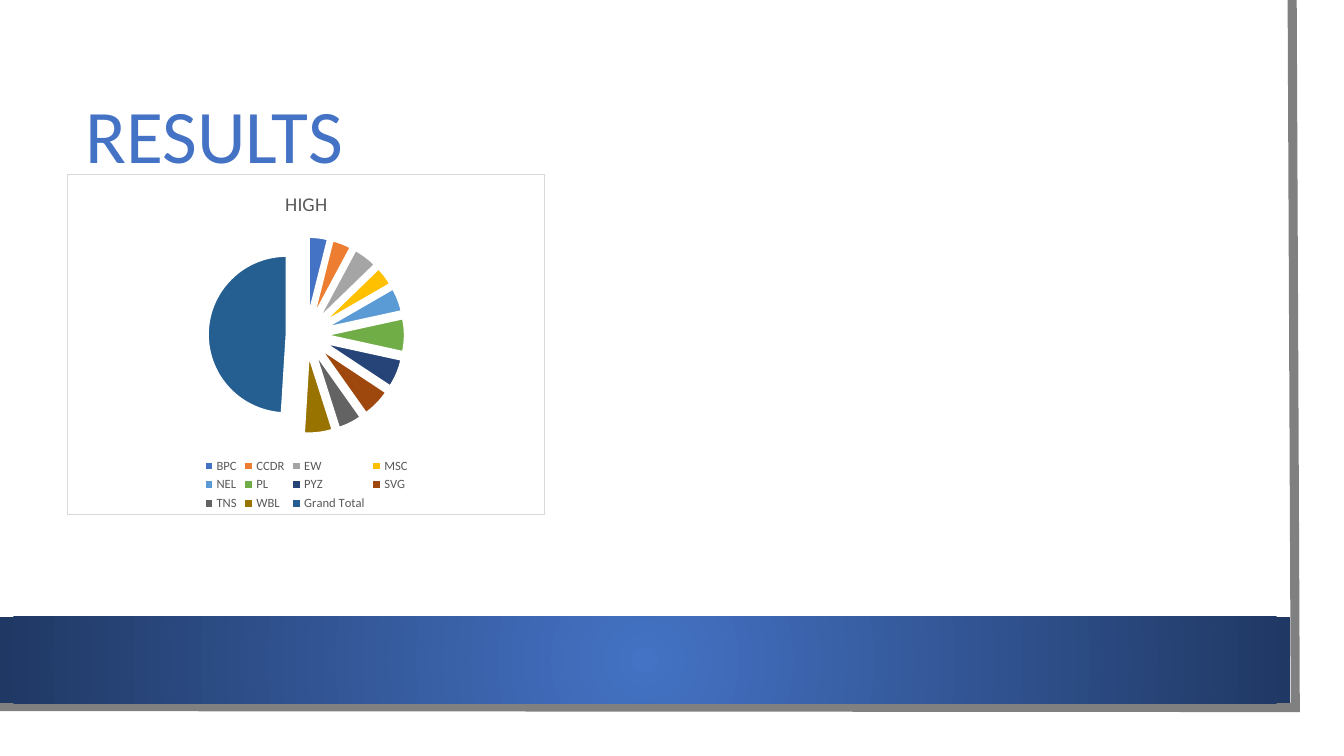
from pptx import Presentation
from pptx.chart.data import CategoryChartData
from pptx.dml.color import RGBColor
from pptx.enum.chart import XL_CHART_TYPE, XL_LEGEND_POSITION as LegendPosition
from pptx.enum.shapes import MSO_SHAPE as Shape
from pptx.enum.text import MSO_ANCHOR as Anchor
from pptx.oxml import parse_xml
from pptx.oxml.ns import nsdecls, qn
from pptx.util import Pt

FONT = "Calibri"
BLUE = RGBColor(0x44, 0x72, 0xC4)
NAVY = RGBColor(0x20, 0x38, 0x64)
EDGE_GRAY = RGBColor(0x80, 0x80, 0x80)
TEXT_GRAY = RGBColor(0x59, 0x59, 0x59)
BORDER_GRAY = RGBColor(0xD9, 0xD9, 0xD9)
WHITE = RGBColor(0xFF, 0xFF, 0xFF)

# Category, value, slice colour
SLICES = [
    ("BPC", 4, BLUE),
    ("CCDR", 4, RGBColor(0xED, 0x7D, 0x31)),
    ("EW", 5, RGBColor(0xA5, 0xA5, 0xA5)),
    ("MSC", 4, RGBColor(0xFF, 0xC0, 0x00)),
    ("NEL", 5, RGBColor(0x5B, 0x9B, 0xD5)),
    ("PL", 7, RGBColor(0x70, 0xAD, 0x47)),
    ("PYZ", 6, RGBColor(0x26, 0x44, 0x78)),
    ("SVG", 6, RGBColor(0x9E, 0x48, 0x0E)),
    ("TNS", 5, RGBColor(0x63, 0x63, 0x63)),
    ("WBL", 6, RGBColor(0x99, 0x73, 0x00)),
    ("Grand Total", 50, RGBColor(0x25, 0x5E, 0x91)),
]


def style_font(font, size, color):
    font.name = FONT
    font.size = Pt(size)
    font.bold = False
    font.color.rgb = color


def add_page_edge(slide, left, top, width, height):
    """Slightly tilted gray edge along the right and bottom of the page."""
    builder = slide.shapes.build_freeform(
        Pt(left + width - 2.2), Pt(top), scale=1.0)
    builder.add_line_segments(
        [(Pt(left + width), Pt(top + height)),
         (Pt(left), Pt(top + height - 0.7))], close=False)
    edge = builder.convert_to_shape()
    edge.shadow.inherit = False
    edge.fill.background()
    edge.line.color.rgb = EDGE_GRAY
    edge.line.width = Pt(6.5)
    outline = edge.element.spPr.find(qn("a:ln"))
    outline.append(parse_xml(f'<a:miter {nsdecls("a")} lim="800000"/>'))


def add_footer_band(slide, left, top, width, height):
    band = slide.shapes.add_shape(
        Shape.RECTANGLE, Pt(left), Pt(top), Pt(width), Pt(height))
    band.shadow.inherit = False
    band.line.fill.background()
    band.fill.gradient()
    for stop, color in zip(band.fill.gradient_stops, (BLUE, NAVY)):
        stop.color.rgb = color
    # Radial gradient from the centre outwards
    gradient = band.element.spPr.find(qn("a:gradFill"))
    gradient.remove(gradient.find(qn("a:lin")))
    gradient.append(parse_xml(
        f'<a:path {nsdecls("a")} path="circle">'
        '<a:fillToRect l="50000" t="50000" r="50000" b="50000"/></a:path>'))


def add_heading(slide, left, top, width, height):
    heading = slide.shapes.add_textbox(
        Pt(left), Pt(top), Pt(width), Pt(height))
    frame = heading.text_frame
    frame.word_wrap = True
    frame.vertical_anchor = Anchor.MIDDLE
    frame.text = "RESULTS"
    frame.paragraphs[0].line_spacing = 0.9
    style_font(frame.paragraphs[0].runs[0].font, 54, BLUE)


def add_high_pie(slide, left, top, width, height):
    data = CategoryChartData()
    data.categories = [name for name, _, _ in SLICES]
    data.add_series("HIGH", [value for _, value, _ in SLICES])
    pie = slide.shapes.add_chart(
        XL_CHART_TYPE.PIE, Pt(left), Pt(top), Pt(width), Pt(height), data).chart
    style_font(pie.font, 10, TEXT_GRAY)

    # Title and legend
    pie.has_title = True
    title = pie.chart_title
    title.include_in_layout = False
    title.text_frame.text = "HIGH"
    style_font(title.text_frame.paragraphs[0].runs[0].font, 14, TEXT_GRAY)
    pie.has_legend = True
    pie.legend.position = LegendPosition.BOTTOM
    pie.legend.include_in_layout = False
    style_font(pie.legend.font, 9, TEXT_GRAY)

    # Slices, pulled apart
    plot = pie.plots[0]
    plot.vary_by_categories = True
    for index, (_, _, color) in enumerate(SLICES):
        slice_format = plot.series[0].points[index].format
        slice_format.fill.solid()
        slice_format.fill.fore_color.rgb = color
        slice_format.line.color.rgb = WHITE
        slice_format.line.width = Pt(1.5)
    first_slice = pie.element.find(".//" + qn("c:dPt"))
    first_slice.addprevious(
        parse_xml(f'<c:explosion {nsdecls("c")} val="25"/>'))

    # Square white panel with a thin border
    body = pie.element.find(qn("c:chart"))
    body.addprevious(parse_xml(f'<c:roundedCorners {nsdecls("c")} val="0"/>'))
    body.addnext(parse_xml(
        f'<c:spPr {nsdecls("c", "a")}>'
        f'<a:solidFill><a:srgbClr val="{WHITE}"/></a:solidFill>'
        f'<a:ln w="{Pt(0.75)}"><a:solidFill><a:srgbClr val="{BORDER_GRAY}"/>'
        '</a:solidFill></a:ln></c:spPr>'))


def main():
    deck = Presentation()
    deck.slide_width, deck.slide_height = Pt(960), Pt(540)
    slide = deck.slides.add_slide(deck.slide_layouts[6])
    add_page_edge(slide, -2.2, 0, 927.4, 505.4)
    add_footer_band(slide, 0, 440.6, 921.6, 61.6)
    add_heading(slide, 54, 54, 818.6, 90.7)
    add_high_pie(slide, 48.2, 124.6, 341.3, 243.4)
    deck.save("out.pptx")


if __name__ == "__main__":
    main()
